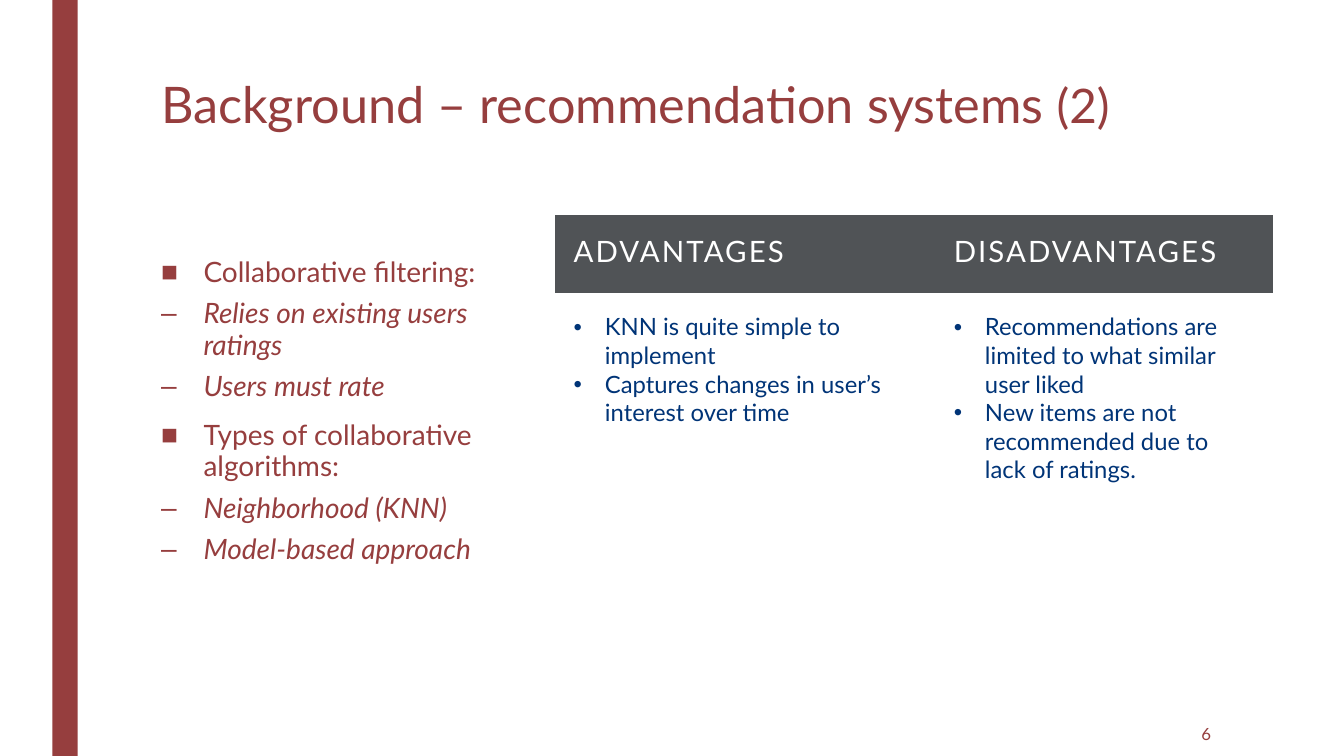
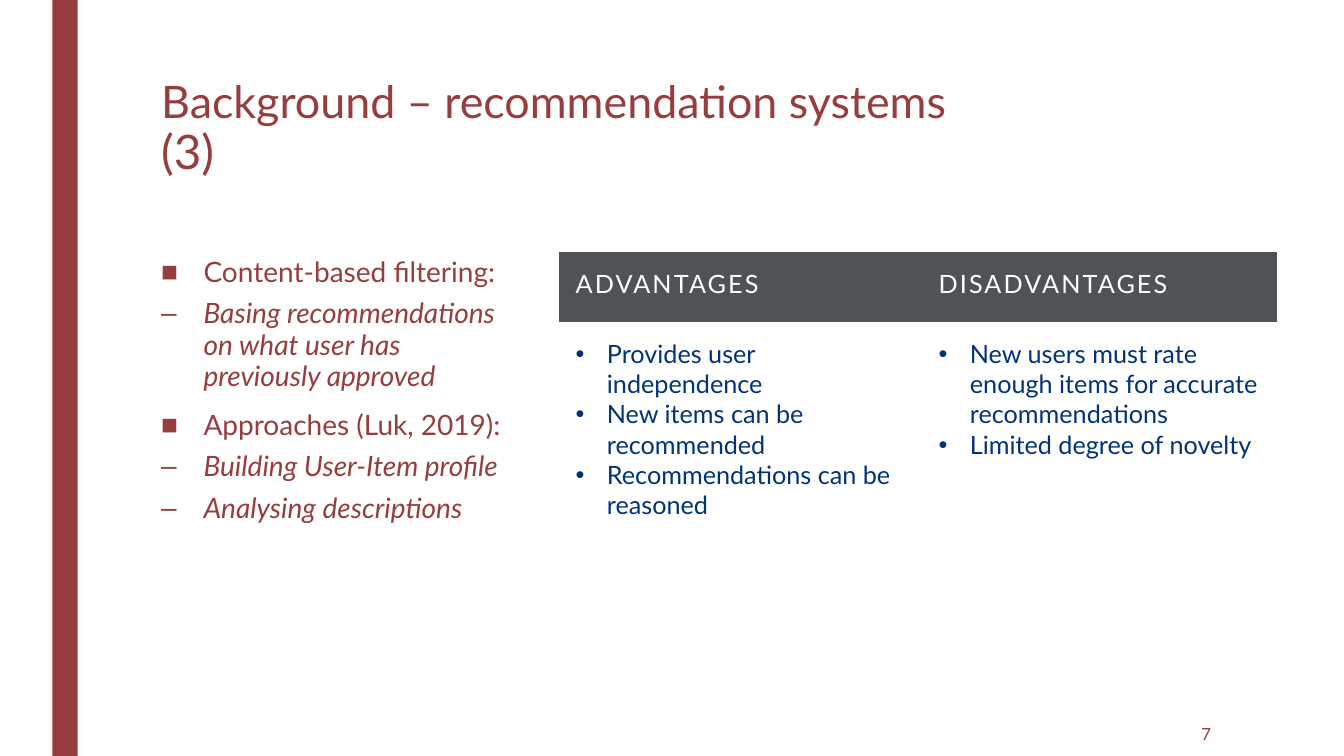
from lxml.etree import SubElement
from pptx import Presentation
from pptx.dml.color import RGBColor
from pptx.enum.shapes import MSO_SHAPE
from pptx.enum.text import MSO_ANCHOR, PP_ALIGN
from pptx.oxml.ns import qn
from pptx.util import Inches, Pt

COLORS = {"red": "963E3E", "gray": "505356", "navy": "003477", "white": "FFFFFF"}
FONT = "Lato"
NO_TABLE_STYLE = "{2D5ABB26-0587-4C30-8999-92F81FD0307C}"

SLIDES = [
    {
        "number": "6",
        "title": "Background – recommendation systems ",
        "part": "(2)",
        "title_size": 36,
        "title_width": 10.84,
        "outline": [
            ("Collaborative filtering:", ["Relies on existing users ratings", "Users must rate"]),
            ("Types of collaborative algorithms:", ["Neighborhood (KNN)", "Model-based approach"]),
        ],
        "table_at": (5.5, 2.13),
        "columns": (3.77, 3.36),
        "rows": (0.78, 2.11),
        "cell_margin": 0.19,
        "header_size": 21,
        "point_size": 17,
        "comparison": {
            "ADVANTAGES": [
                "KNN is quite simple to implement",
                "Captures changes in user’s interest over time",
            ],
            "DISADVANTAGES": [
                "Recommendations are limited to what similar user liked",
                "New items are not recommended due to lack of ratings.",
            ],
        },
    },
    {
        "number": "7",
        "title": "Background – recommendation systems ",
        "part": "(3)",
        "title_size": 32,
        "title_width": 8.61,
        "outline": [
            ("Content-based filtering:",
             ["Basing recommendations on what user has previously approved"]),
            ("Approaches (Luk, 2019):", ["Building User-Item profile", "Analysing descriptions"]),
        ],
        "table_at": (5.54, 2.5),
        "columns": (3.6, 3.53),
        "rows": (0.69, 2.14),
        "cell_margin": 0.17,
        "header_size": 18,
        "point_size": 18,
        "comparison": {
            "ADVANTAGES": [
                "Provides user independence",
                "New items can be recommended",
                "Recommendations can be reasoned",
            ],
            "DISADVANTAGES": [
                "New users must rate enough items for accurate recommendations",
                "Limited degree of novelty",
            ],
        },
    },
]


def add_run(paragraph, text, size, color, italic=False):
    run = paragraph.add_run()
    run.text = text
    run.font.name = FONT
    run.font.size = Pt(size)
    run.font.italic = italic
    run.font.color.rgb = RGBColor.from_string(COLORS[color])
    return run


def add_bullet(frame, index, char, indent):
    """Return paragraph number index of the frame with a hanging bullet."""
    paragraph = frame.paragraphs[0] if index == 0 else frame.add_paragraph()
    properties = paragraph._p.get_or_add_pPr()
    properties.set("marL", str(Inches(indent)))
    properties.set("indent", str(-Inches(indent)))
    SubElement(properties, qn("a:buFont")).set("typeface", "Arial")
    SubElement(properties, qn("a:buChar")).set("char", char)
    return paragraph


deck = Presentation()
deck.slide_width = Inches(13.33)
deck.slide_height = Inches(7.5)

for content in SLIDES:
    slide = deck.slides.add_slide(deck.slide_layouts[6])
    shapes = slide.shapes

    band = shapes.add_shape(MSO_SHAPE.RECTANGLE, Inches(0.52), 0, Inches(0.25), deck.slide_height)
    band.shadow.inherit = False
    band.fill.solid()
    band.fill.fore_color.rgb = RGBColor.from_string(COLORS["red"])
    band.line.fill.background()

    title = shapes.add_textbox(
        Inches(1.5), Inches(0.75), Inches(content["title_width"]), Inches(1.62)).text_frame
    title.word_wrap = True
    heading = title.paragraphs[0]
    heading.line_spacing = 0.89
    add_run(heading, content["title"], content["title_size"], "red")
    add_run(heading, content["part"], 34, "red")

    outline = shapes.add_textbox(Inches(1.5), Inches(2.5), Inches(3.59), Inches(3.92)).text_frame
    outline.word_wrap = True
    entries = []
    for topic, details in content["outline"]:
        entries.append((topic, "■", 10, False))
        entries += [(detail, "–", 5, True) for detail in details]
    for index, (text, char, space_before, italic) in enumerate(entries):
        paragraph = add_bullet(outline, index, char, 0.42)
        paragraph.line_spacing = 0.94
        paragraph.space_before = Pt(space_before if index else 0)
        paragraph.space_after = Pt(2)
        add_run(paragraph, text, 20, "red", italic)

    footer = shapes.add_textbox(Inches(10.36), Inches(7.06), Inches(1.75), Inches(0.44)).text_frame
    footer.word_wrap = True
    footer.vertical_anchor = MSO_ANCHOR.MIDDLE
    page_number = footer.paragraphs[0]
    page_number.alignment = PP_ALIGN.RIGHT
    page_number.space_after = Pt(6)
    add_run(page_number, content["number"], 12, "red")

    left, top = content["table_at"]
    comparison = shapes.add_table(
        2, 2, Inches(left), Inches(top),
        Inches(sum(content["columns"])), Inches(sum(content["rows"]))).table
    comparison._tbl.tblPr.find(qn("a:tableStyleId")).text = NO_TABLE_STYLE
    comparison.first_row = comparison.horz_banding = False
    for row, height in zip(comparison.rows, content["rows"]):
        row.height = Inches(height)
    for column, width in zip(comparison.columns, content["columns"]):
        column.width = Inches(width)
    for cell in comparison.iter_cells():
        cell.margin_left = cell.margin_right = Inches(content["cell_margin"])
        cell.margin_top = cell.margin_bottom = Inches(content["cell_margin"])

    for column, (label, points) in enumerate(content["comparison"].items()):
        header, body = comparison.cell(0, column), comparison.cell(1, column)
        header.fill.solid()
        header.fill.fore_color.rgb = RGBColor.from_string(COLORS["gray"])
        label_run = add_run(
            header.text_frame.paragraphs[0], label, content["header_size"], "white")
        label_run.font._element.set("spc", "150")
        body.fill.background()
        for index, point in enumerate(points):
            paragraph = add_bullet(body.text_frame, index, "•", 0.31)
            add_run(paragraph, point, content["point_size"], "navy")

deck.save("out.pptx")
